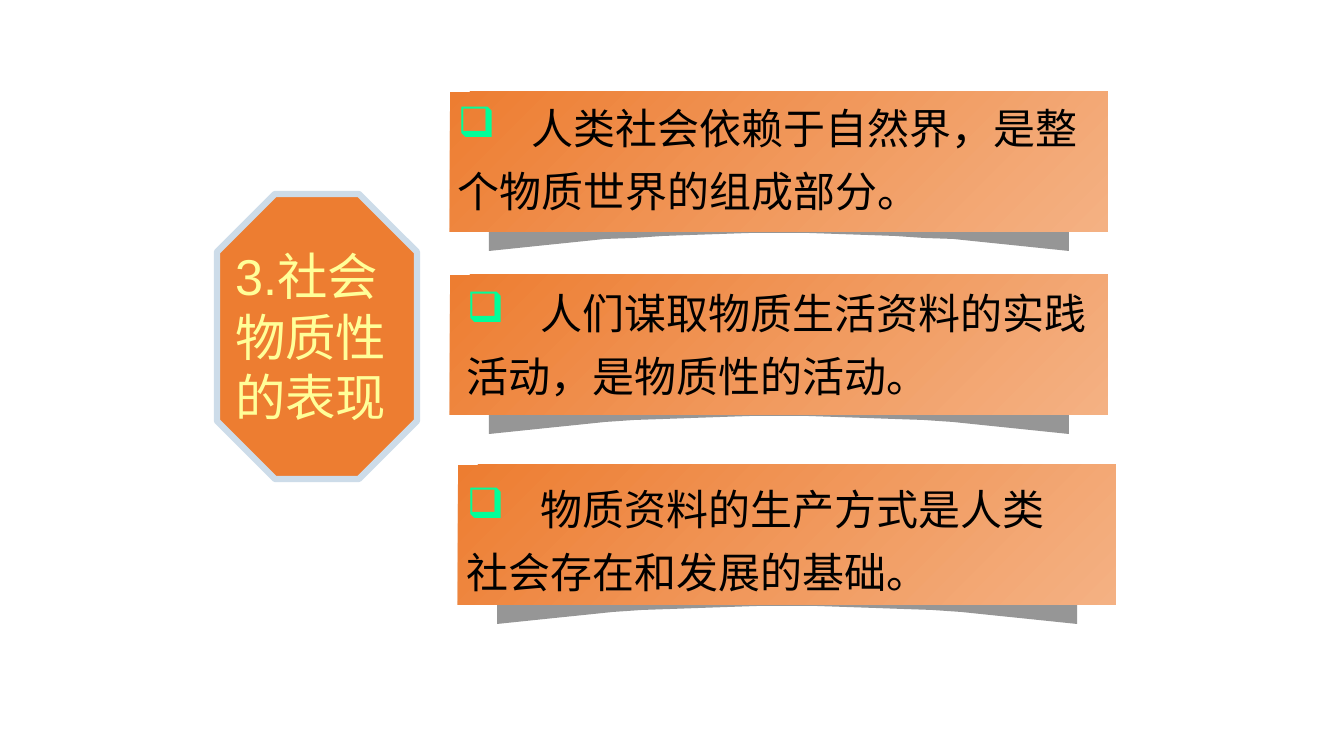
from dataclasses import dataclass

import pptx
import pptx.dml.color
import pptx.enum.shapes
import pptx.enum.text
import pptx.oxml
import pptx.oxml.ns
import pptx.util
from lxml import etree

EMU_PER_PX = 914400 / 100.8
SLIDE_SIZE = (1344, 756)
CARD_SIZE = (658, 140)
CURL_STEPS = 20


@dataclass(frozen=True)
class Theme:
    orange: str = "ED7D31"
    peach: str = "F4B183"
    gray: str = "969696"
    border: str = "CDDCE9"
    bullet: str = "00FF99"
    heading: str = "FFFF99"
    body: str = "000000"
    heading_font: str = "Arial"
    body_font: str = "Noto Sans CJK SC"
    heading_size: int = 36
    body_size: int = 30


THEME = Theme()

# card left and top, text box left, top and width, wording
POINTS = [
    ((450, 92), (448, 85, 667), "人类社会依赖于自然界，是整个物质世界的组成部分。"),
    ((450, 275), (457, 270, 660), "人们谋取物质生活资料的实践活动，是物质性的活动。"),
    ((458, 465), (457, 466, 637), "物质资料的生产方式是人类社会存在和发展的基础。"),
]
HEADING_LINES = ["3.社会", "物质性", "的表现"]


def px(length):
    return pptx.util.Emu(round(length * EMU_PER_PX))


def color(value):
    return pptx.dml.color.RGBColor.from_string(value)


def add_child(parent, tag, **attributes):
    child = etree.SubElement(parent, pptx.oxml.ns.qn(tag))
    for name, value in attributes.items():
        child.set(name, str(value))
    return child


def add_run(paragraph, text, font, size, text_color):
    run = paragraph.add_run()
    run.text = text
    run.font.name = font
    run.font.size = pptx.util.Pt(size)
    run.font.color.rgb = color(text_color)
    return run


def add_curl(shapes, left, top):
    """Draw the gray arched shadow that shows below a card."""
    half_width, center = 290, left + CARD_SIZE[0] // 2
    arch_top, rise = top + CARD_SIZE[1] + 1, 18
    arch = []
    for step in range(CURL_STEPS + 1):
        ratio = 1 - 2 * step / CURL_STEPS
        arch.append((center + half_width * ratio, arch_top + rise * ratio**2))
    roof = [(center - half_width, top + 108), (center, top + 91),
            (center + half_width, top + 108)]
    builder = shapes.build_freeform(*arch[0], scale=EMU_PER_PX)
    builder.add_line_segments(arch[1:] + roof, close=True)
    curl = builder.convert_to_shape()
    curl.shadow.inherit = False
    curl.fill.solid()
    curl.fill.fore_color.rgb = color(THEME.gray)
    curl.line.fill.background()


def add_card(slide, left, top):
    shapes = slide.shapes.add_group_shape().shapes
    add_curl(shapes, left, top)
    card = shapes.add_shape(pptx.enum.shapes.MSO_SHAPE.RECTANGLE,
                            px(left), px(top), *map(px, CARD_SIZE))
    card.shadow.inherit = False
    card.line.fill.background()
    card.fill.gradient()
    card.fill.gradient_angle = 315
    for stop, stop_color in zip(card.fill.gradient_stops, (THEME.orange, THEME.peach)):
        stop.color.rgb = color(stop_color)


def add_point(slide, left, top, width, text):
    box = slide.shapes.add_textbox(px(left), px(top), px(width), px(137))
    frame = box.text_frame
    frame.word_wrap = True
    frame.auto_size = pptx.enum.text.MSO_AUTO_SIZE.SHAPE_TO_FIT_TEXT
    paragraph = frame.paragraphs[0]
    paragraph.line_spacing = 1.25
    properties = paragraph._p.get_or_add_pPr()
    properties.set("marL", "0")
    properties.set("indent", "0")
    bullet_color = add_child(properties, "a:buClr")
    add_child(bullet_color, "a:srgbClr", val=THEME.bullet)
    add_child(properties, "a:buChar", char="❑")
    tabs = add_child(properties, "a:tabLst")
    add_child(tabs, "a:tab", pos=px(74), algn="l")
    run = add_run(paragraph, "\t" + text, THEME.body_font, THEME.body_size, THEME.body)
    add_child(run.font._element, "a:ea", typeface=THEME.body_font)


def add_octagon(slide):
    octagon = slide.shapes.add_shape(pptx.enum.shapes.MSO_SHAPE.OCTAGON,
                                     px(217), px(194), px(200), px(285))
    octagon.adjustments[0] = 0.29
    octagon.shadow.inherit = False
    octagon.fill.solid()
    octagon.fill.fore_color.rgb = color(THEME.orange)
    octagon.line.color.rgb = color(THEME.border)
    octagon.line.width = pptx.util.Pt(4.5)


def set_heading(slide):
    """Place the title on the octagon, in front of it."""
    title = slide.shapes.title
    slide.shapes._spTree.append(title._element)
    title.left, title.top, title.width, title.height = map(px, (217, 210, 200, 252))
    frame = title.text_frame
    frame.word_wrap = True
    frame.auto_size = pptx.enum.text.MSO_AUTO_SIZE.NONE
    frame.vertical_anchor = pptx.enum.text.MSO_ANCHOR.MIDDLE
    frame.margin_left, frame.margin_right = px(18), px(0)
    for index, line in enumerate(HEADING_LINES):
        paragraph = frame.add_paragraph() if index else frame.paragraphs[0]
        paragraph.alignment = pptx.enum.text.PP_ALIGN.LEFT
        add_run(paragraph, line, THEME.heading_font, THEME.heading_size, THEME.heading)


def main():
    presentation = pptx.Presentation()
    presentation.slide_width, presentation.slide_height = map(px, SLIDE_SIZE)
    slide = presentation.slides.add_slide(presentation.slide_layouts[5])
    for card_place, _, _ in POINTS:
        add_card(slide, *card_place)
    for _, text_place, text in POINTS:
        add_point(slide, *text_place, text)
    add_octagon(slide)
    set_heading(slide)
    presentation.save("out.pptx")


if __name__ == "__main__":
    main()
